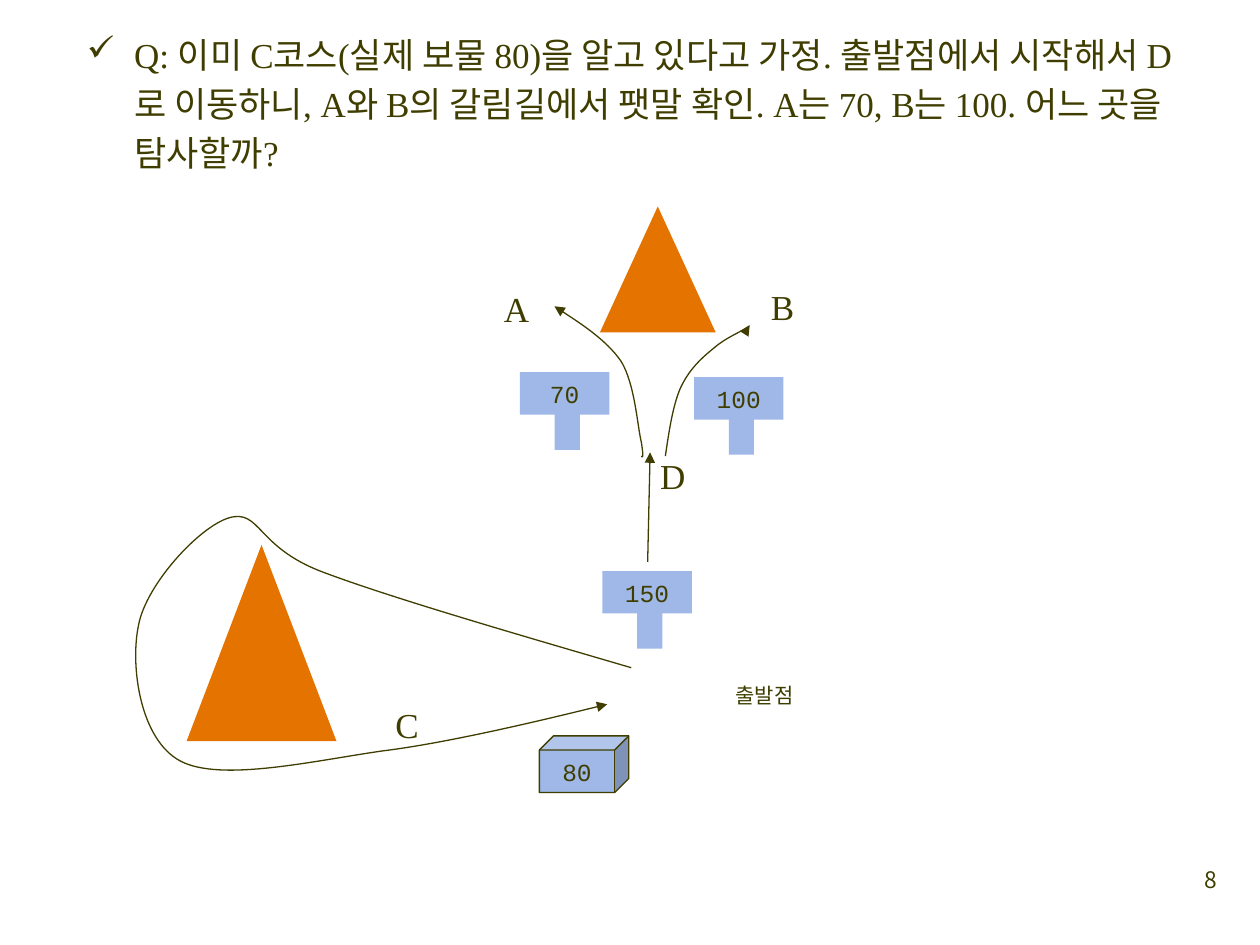
import pptx
import pptx.util
import pptx.dml.color
import pptx.enum.shapes
import pptx.enum.text
import pptx.oxml
import pptx.oxml.ns
from lxml import etree

Pt = pptx.util.Pt
RGBColor = pptx.dml.color.RGBColor
SHAPE = pptx.enum.shapes.MSO_SHAPE
ALIGN = pptx.enum.text.PP_ALIGN
FIT = pptx.enum.text.MSO_AUTO_SIZE
qn = pptx.oxml.ns.qn

INK = RGBColor(0x3F, 0x3E, 0x00)
ORANGE = RGBColor(0xE5, 0x73, 0x00)
BLUE = RGBColor(0x9F, 0xB8, 0xE7)
SERIF, MONO, KOREAN = "Times New Roman", "Courier New", "Noto Sans CJK KR"

QUESTION = ("Q: 이미 C코스(실제 보물 80)을 알고 있다고 가정. 출발점에서 시작해서 D로 이동하니, "
            "A와 B의 갈림길에서 팻말 확인. A는 70, B는 100. 어느 곳을 탐사할까?")
COURSE_A = [(86.5, 142.6), (87.2, 143.4), (87.9, 144.1), (86.5, 134.7), (84.3, 126.1),
            (82.9, 101.6), (75, 88.6), (66.3, 75.7), (36.8, 57), (36.8, 57)]
COURSE_B = [(100.2, 142.6), (102.3, 128.2), (104.5, 113.8), (108.8, 103.8), (113.8, 93),
            (121, 86.5), (128.2, 80.7), (134.7, 75), (145.5, 70.6), (148.4, 68.5),
            (152, 66.3), (150.6, 67), (148.4, 67.8)]
COURSE_C = [(283.7, 86.4), (214.6, 66.2), (145.5, 46.1), (107.3, 31.7), (69.2, 17.3),
            (72, -4.3), (54, 0.7), (36.8, 5.8), (6.5, 38.9), (2.2, 61.9),
            (-2.8, 85), (2.9, 127.4), (26, 139.7), (49, 151.9), (101.6, 139.7),
            (141.9, 133.9), (182.9, 128.9), (270, 107.3), (270, 107.3)]


def set_font(p, size, name):
    """Give a paragraph its ink colour, size and Latin and Korean typefaces."""
    p.font.size, p.font.name = Pt(size), name
    p.font.color.rgb = INK
    latin = p.font._element.find(qn("a:latin"))
    east = etree.Element(qn("a:ea"), typeface=KOREAN)
    latin.addnext(east)


def add_text(s, x, y, w, h, text, size=20, wrap=False):
    """Add a text box with fixed line spacing and return it."""
    box = s.shapes.add_textbox(Pt(x), Pt(y), Pt(w), Pt(h))
    tf = box.text_frame
    tf.word_wrap, tf.auto_size = wrap, FIT.SHAPE_TO_FIT_TEXT
    p = tf.paragraphs[0]
    p.text, p.line_spacing = text, Pt(28)
    set_font(p, size, SERIF)
    return box


def add_block(s, kind, x, y, w, h, fill, text="", outlined=False):
    """Add a filled shape with optional outline and centred text."""
    sp = s.shapes.add_shape(kind, Pt(x), Pt(y), Pt(w), Pt(h))
    sp.shadow.inherit = False
    sp.fill.solid()
    sp.fill.fore_color.rgb = fill
    if outlined:
        sp.line.color.rgb, sp.line.width = INK, Pt(0.75)
    else:
        sp.line.fill.background()
    if text:
        p = sp.text_frame.paragraphs[0]
        p.text, p.alignment = text, ALIGN.CENTER
        set_font(p, 14, MONO)


def style_arrow(sp):
    """Draw a thin ink line with a triangle at its end."""
    sp.line.color.rgb, sp.line.width = INK, Pt(0.75)
    etree.SubElement(sp.line._get_or_add_ln(), qn("a:tailEnd"), type="triangle")


def add_course(s, x, y, points):
    """Add a curved arrow from a start point and triples of Bezier points."""
    points = [(Pt(x + dx), Pt(y + dy)) for dx, dy in points]
    builder = s.shapes.build_freeform(*points[0])
    builder.add_line_segments(points[1:], close=False)
    sp = builder.convert_to_shape()
    sp.shadow.inherit = False
    sp.fill.background()
    style_arrow(sp)
    path = sp._element.find(".//" + qn("a:path"))
    lines = path.findall(qn("a:lnTo"))
    for i in range(0, len(lines), 3):
        curve = etree.SubElement(path, qn("a:cubicBezTo"))
        for line in lines[i:i + 3]:
            curve.append(line[0])
            path.remove(line)


def add_sign(s, x, y, text):
    """Add a signpost: a board with its value and a post below."""
    add_block(s, SHAPE.RECTANGLE, x, y, 51.1, 24.3, BLUE, text)
    add_block(s, SHAPE.RECTANGLE, x + 19.9, y + 20.6, 14.4, 23.8, BLUE)


def add_question(s, x, y, w, h):
    """Add the check-marked question."""
    p = add_text(s, x, y, w, h, QUESTION, wrap=True).text_frame.paragraphs[0]
    pPr = p._p.get_or_add_pPr()
    pPr.set("marL", str(Pt(27)))
    pPr.set("indent", str(Pt(-27)))
    bullet = etree.Element(qn("a:buChar"), char="✓")
    pPr.find(qn("a:defRPr")).addprevious(bullet)


def add_loop(s, x, y):
    """Add course C, which circles the lower mountain."""
    add_block(s, SHAPE.ISOSCELES_TRIANGLE, x + 29.6, y + 16.2, 85.7, 112.2, ORANGE)
    add_course(s, x, y, COURSE_C)
    add_text(s, x + 141.9, y + 99.4, 28.1, 33.1, "C")


def add_fork(s, x, y):
    """Add the upper mountain with the fork at D into courses A and B."""
    add_block(s, SHAPE.ISOSCELES_TRIANGLE, x + 62.8, y, 66.2, 72, ORANGE)
    for course in (COURSE_A, COURSE_B):
        add_course(s, x, y, course)
    line = s.shapes.add_connector(pptx.enum.shapes.MSO_CONNECTOR.STRAIGHT,
                                  Pt(x + 90.1), Pt(y + 203.1), Pt(x + 91.5), Pt(y + 140.5))
    style_arrow(line)
    etree.SubElement(line._element.spPr, qn("a:effectLst"))
    add_sign(s, x + 17.1, y + 94.7, "70")
    add_sign(s, x + 116.6, y + 97.5, "100")
    for name, dx, dy in (("A", 0.8, 39), ("B", 153.4, 37.5), ("D", 90.1, 134)):
        add_text(s, x + dx, y + dy, 28.8, 33.1, name)


def add_start(s, x, y):
    """Add the starting point with its sign, label and treasure box."""
    add_sign(s, x + 36, y, "150")
    add_text(s, x + 105.1, y + 46.7, 51.1, 35.3, "출발점", 12)
    add_block(s, SHAPE.CUBE, x, y + 94.2, 51.1, 32.4, BLUE, "80", True)


def add_page_number(s, x, y, w, h):
    """Add the right-aligned page number."""
    tf = s.shapes.add_textbox(Pt(x), Pt(y), Pt(w), Pt(h)).text_frame
    tf.word_wrap = True
    tf.margin_left = tf.margin_right = Pt(3.6)
    p = tf.paragraphs[0]
    p.text, p.alignment = "8", ALIGN.RIGHT
    set_font(p, 13, KOREAN)


def main():
    """Build the slide and save it."""
    prs = pptx.Presentation()
    prs.slide_width, prs.slide_height = Pt(720), Pt(540)
    s = prs.slides.add_slide(prs.slide_layouts[6])
    add_page_number(s, 681.8, 491, 17.3, 36)
    add_loop(s, 77, 295.2)
    add_question(s, 42.5, 11.5, 646.6, 92.2)
    add_fork(s, 280, 118)
    add_start(s, 308.2, 326.3)
    prs.save("out.pptx")


if __name__ == "__main__":
    main()
